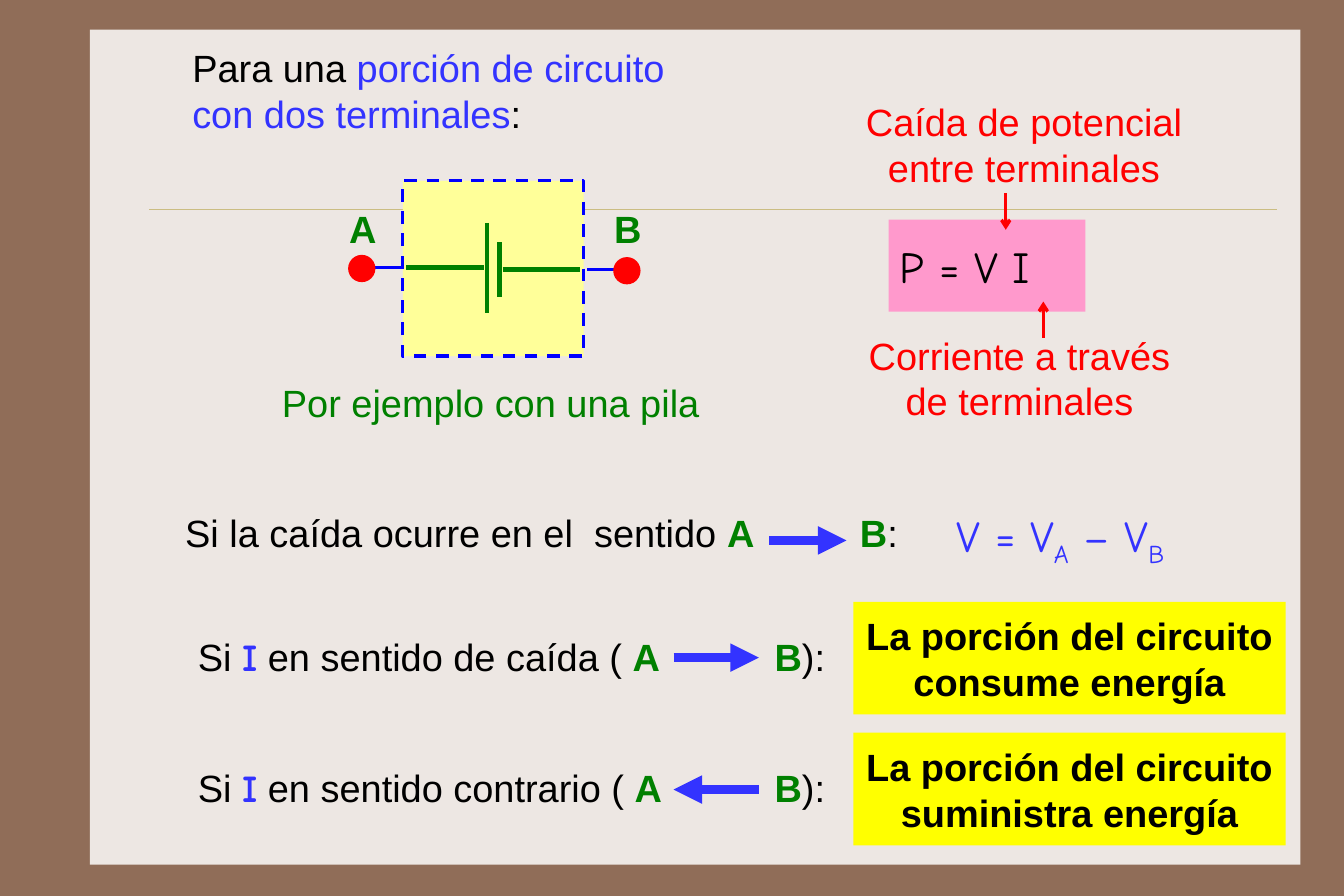
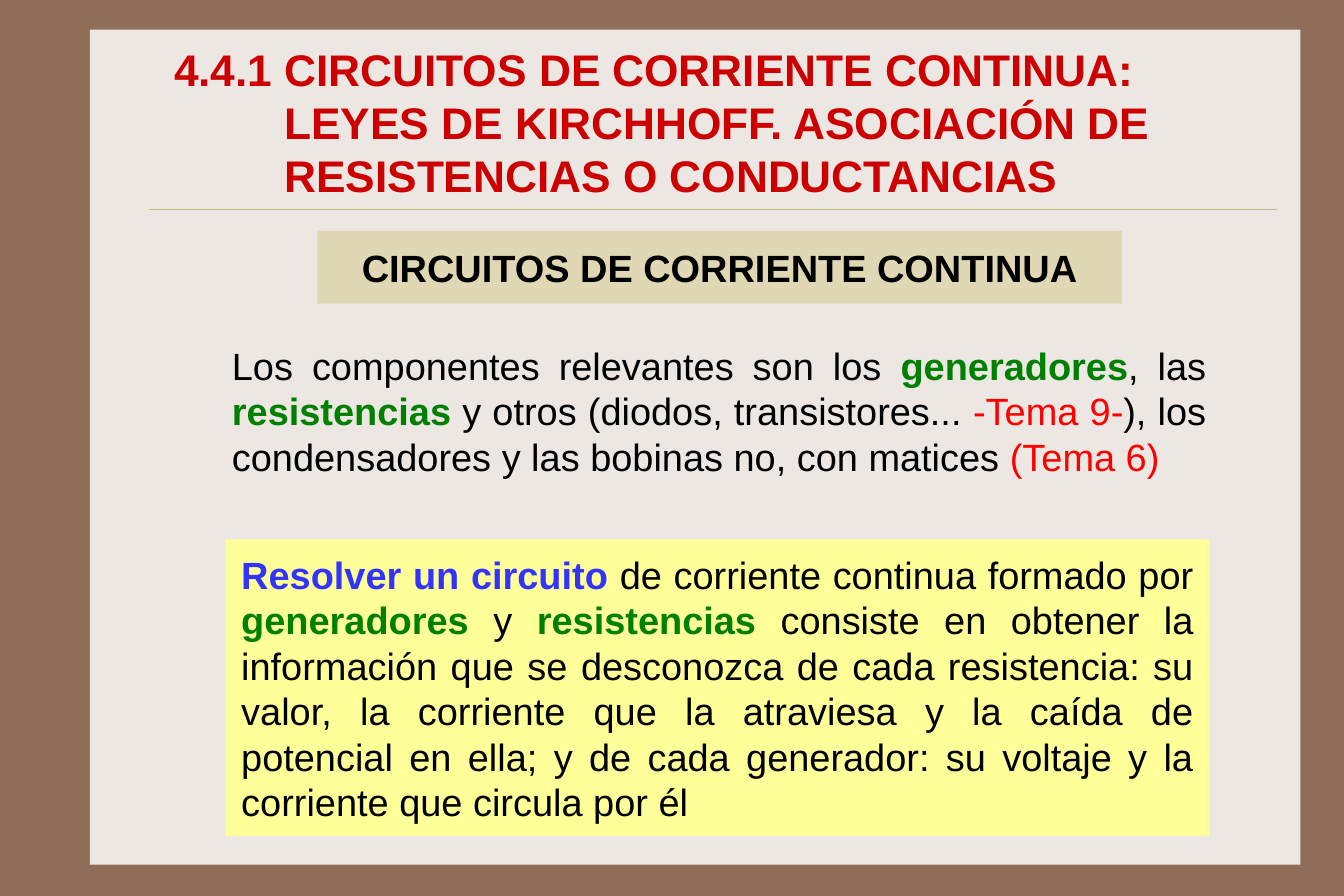
from dataclasses import dataclass

from lxml import etree
from pptx import Presentation
from pptx.dml.color import RGBColor
from pptx.enum.dml import MSO_LINE
from pptx.enum.shapes import MSO_CONNECTOR, MSO_SHAPE
from pptx.enum.text import MSO_ANCHOR, PP_ALIGN
from pptx.oxml.ns import qn
from pptx.util import Inches, Pt


@dataclass(frozen=True)
class Theme:
    border: str = "906D58"
    paper: str = "EDE7E3"
    rule: str = "CBBD83"
    sand: str = "E0D7B5"
    cream: str = "FFFF99"
    yellow: str = "FFFF00"
    pink: str = "FF99CC"
    black: str = "000000"
    blue: str = "3333FF"
    wire: str = "0000FF"
    green: str = "008000"
    red: str = "FF0000"
    title: str = "CC0000"
    font: str = "Arial"
    math: str = "Comic Neue"
    body: int = 24
    large: int = 28


T = Theme()
HIGH = 63 / 8
WIDE = 1.5 * HIGH
BREAK = "\n"
BLUE = {"color": T.blue}
RED = {"color": T.red}
TERM = {"color": T.green, "bold": True}
SYMBOL = {"color": T.blue, "bold": True, "font": T.math}
SUB = {"base": -25}


def rgb(code):
    return RGBColor.from_string(code)


def shape(slide, box, fill, kind=MSO_SHAPE.RECTANGLE, edge=None):
    item = slide.shapes.add_shape(kind, *map(Inches, box))
    item.shadow.inherit = False
    item.fill.solid()
    item.fill.fore_color.rgb = rgb(fill)
    if edge:
        item.line.color.rgb = rgb(edge)
        item.line.width = Pt(2)
        item.line.dash_style = MSO_LINE.DASH
    else:
        item.line.fill.background()
    return item


def line(slide, start, end, color, width, head=None):
    """Draw a straight line; head names the arrowhead at its end."""
    item = slide.shapes.add_connector(
        MSO_CONNECTOR.STRAIGHT, *map(Inches, (*start, *end)))
    item.line.color.rgb = rgb(color)
    item.line.width = Pt(width)
    props = item._element.spPr
    if head:
        etree.SubElement(item.line._get_or_add_ln(), qn("a:tailEnd"), type=head)
    etree.SubElement(props, qn("a:effectLst"))


def indent(para, left, first):
    props = para._p.get_or_add_pPr()
    props.set("marL", str(Inches(left)))
    props.set("indent", str(Inches(first)))


def text(slide, box, parts, size=T.body, font=T.font, color=T.black,
         bold=False, align=PP_ALIGN.LEFT, anchor=MSO_ANCHOR.TOP,
         inset=(0.1, 0.09), fill=None, hang=0):
    """Write parts: strings, (string, style) pairs, or BREAK for a paragraph."""
    if fill:
        item = shape(slide, box, fill)
    else:
        item = slide.shapes.add_textbox(*map(Inches, box))
    frame = item.text_frame
    frame.word_wrap = True
    frame.vertical_anchor = anchor
    frame.margin_left = frame.margin_right = Inches(inset[0])
    frame.margin_top = frame.margin_bottom = Inches(inset[1])
    para = frame.paragraphs[0]
    para.alignment = align
    if hang:
        indent(para, hang, -hang)
    for part in parts:
        if part == BREAK:
            para = frame.add_paragraph()
            para.alignment = align
            if hang:
                indent(para, hang, 0)
            continue
        words, style = (part, {}) if isinstance(part, str) else part
        run = para.add_run()
        run.text = words
        run.font.size = Pt(size)
        run.font.name = style.get("font", font)
        run.font.bold = style.get("bold", bold)
        run.font.color.rgb = rgb(style.get("color", color))
        if "base" in style:
            run._r.get_or_add_rPr().set("baseline", str(style["base"] * 1000))


def page(deck):
    slide = deck.slides.add_slide(deck.slide_layouts[6])
    shape(slide, (0.79, 0.26, 10.64, 7.34), T.paper)
    line(slide, (1.31, 1.84), (11.22, 1.84), T.rule, 0.25)
    return slide


def battery(slide):
    shape(slide, (3.54, 1.59, 1.59, 1.54), T.cream, edge=T.wire)
    for name, x, y, start, end in (("A", 3.18, 2.36, 3.17, 3.55),
                                   ("B", 5.51, 2.38, 5.16, 5.54)):
        line(slide, (start, y - 0.01), (end, y - 0.01), T.wire, 2)
        shape(slide, (x - 0.12, y - 0.12, 0.24, 0.24), T.red, MSO_SHAPE.OVAL)
        text(slide, (x - 0.21, 1.72, 0.44, 0.59), [(name, TERM)])
    for start, end in (((4.28, 1.96), (4.28, 2.75)),
                       ((4.39, 2.13), (4.39, 2.61)),
                       ((3.57, 2.35), (4.25, 2.35)),
                       ((4.42, 2.37), (5.1, 2.37))):
        line(slide, start, end, T.green, 3)


def sense(slide, x, y, lead, ends, arrow, close):
    """Write a sentence that ends in A, an arrow and B."""
    text(slide, (x, y, ends - x, 0.59), [*lead, ("A", TERM)])
    start, end, level = arrow
    line(slide, (start, level), (end, level), T.blue, 6, "triangle")
    text(slide, (ends, y, 0.85, 0.59), [("B", TERM), close])


def verdict(slide, y, words):
    text(slide, (7.5, y, 3.8, 0.99), ["La porción del circuito", BREAK, words],
         bold=True, fill=T.yellow, align=PP_ALIGN.CENTER,
         anchor=MSO_ANCHOR.MIDDLE, inset=(0.05, 0.09))


def power(deck):
    slide = page(deck)
    text(slide, (1.55, 0.26, 4.6, 1.07),
         ["Para una ", ("porción de circuito con dos terminales", BLUE), ":"],
         anchor=MSO_ANCHOR.MIDDLE, inset=(0.14, 0.13))
    battery(slide)
    text(slide, (2.38, 3.29, 4.1, 0.5), ["Por ejemplo con una pila"],
         color=T.green, inset=(0.1, 0.05))

    text(slide, (7.81, 1.93, 1.73, 0.81), ["P = V I"], size=T.large,
         font=T.math, fill=T.pink, anchor=MSO_ANCHOR.MIDDLE)
    for words, x, y, tip, start, end in (
            ("Caída de potencial entre terminales", 7.51, 0.78, 8.84, 1.7, 2.02),
            ("Corriente a través de terminales", 7.47, 2.83, 9.17, 2.97, 2.65)):
        text(slide, (x, y, 2.98, 0.99), [words], color=T.red,
             align=PP_ALIGN.CENTER)
        line(slide, (tip, start), (tip, end), T.red, 2, "arrow")

    sense(slide, 1.53, 4.39, ["Si la caída ocurre en el  sentido "],
          7.46, (6.76, 7.44, 4.75), ":")
    text(slide, (8.31, 4.38, 2.6, 0.65),
         ["V = V", ("A", SUB), " – V", ("B", SUB)],
         size=T.large, font=T.math, color=T.blue)
    sense(slide, 1.64, 5.48,
          ["Si ", ("I", SYMBOL), " en sentido de caída ( "],
          6.71, (5.92, 6.67, 5.78), "):")
    verdict(slide, 5.29, "consume energía")
    sense(slide, 1.64, 6.63,
          ["Si ", ("I", SYMBOL), " en sentido contrario ( "],
          6.71, (6.67, 5.92, 6.94), "):")
    verdict(slide, 6.44, "suministra energía")


def direct(deck):
    slide = page(deck)
    text(slide, (2.79, 2.03, 7.07, 0.64), ["CIRCUITOS DE CORRIENTE CONTINUA"],
         bold=True, fill=T.sand, align=PP_ALIGN.CENTER,
         anchor=MSO_ANCHOR.MIDDLE)
    text(slide, (1.98, 4.74, 8.65, 2.61),
         [("Resolver un circuito", {"color": T.blue, "bold": True}),
          " de corriente continua formado por ", ("generadores", TERM),
          " y ", ("resistencias", TERM),
          " consiste en obtener la información que se desconozca de cada "
          "resistencia: su valor, la corriente que la atraviesa y la caída de "
          "potencial en ella; y de cada generador: su voltaje y la corriente "
          "que circula por él"],
         align=PP_ALIGN.JUSTIFY, anchor=MSO_ANCHOR.MIDDLE,
         inset=(0.14, 0.09), fill=T.cream)
    text(slide, (1.42, 0.31, 9.32, 1.52),
         ["4.4.1 CIRCUITOS DE CORRIENTE CONTINUA:", BREAK,
          "LEYES DE KIRCHHOFF. ASOCIACIÓN DE", BREAK,
          "RESISTENCIAS O CONDUCTANCIAS"],
         size=T.large, color=T.title, bold=True, hang=0.97,
         anchor=MSO_ANCHOR.MIDDLE, inset=(0.11, 0.05))
    text(slide, (1.94, 2.96, 8.76, 1.31),
         ["Los componentes relevantes son los ", ("generadores", TERM),
          ", las ", ("resistencias", TERM),
          " y otros (diodos, transistores... ", ("-Tema 9-", RED),
          "), los condensadores y las bobinas no, con matices ",
          ("(Tema 6)", RED)],
         align=PP_ALIGN.JUSTIFY, inset=(0.1, 0.05))


def main():
    deck = Presentation()
    deck.slide_width = Inches(WIDE)
    deck.slide_height = Inches(HIGH)
    back = deck.slide_master.background.fill
    back.solid()
    back.fore_color.rgb = rgb(T.border)
    power(deck)
    direct(deck)
    deck.save("out.pptx")


if __name__ == "__main__":
    main()
